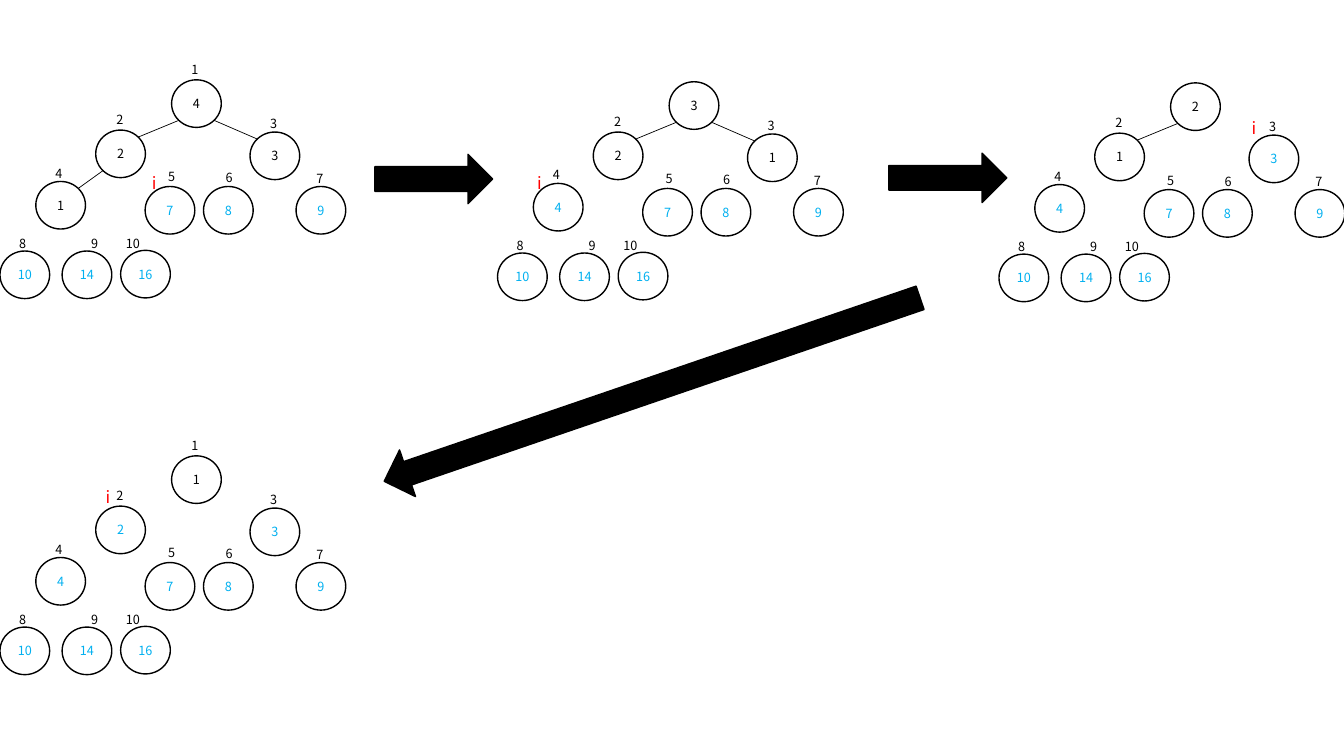
from lxml import etree
from pptx import Presentation
from pptx.dml.color import RGBColor
from pptx.enum.shapes import MSO_CONNECTOR, MSO_SHAPE
from pptx.enum.text import MSO_ANCHOR, MSO_AUTO_SIZE, PP_ALIGN
from pptx.oxml.ns import qn
from pptx.util import Pt

OVAL = MSO_SHAPE.OVAL
RIGHT_ARROW = MSO_SHAPE.RIGHT_ARROW
STRAIGHT = MSO_CONNECTOR.STRAIGHT
MIDDLE = MSO_ANCHOR.MIDDLE
CENTER = PP_ALIGN.CENTER
LEFT = PP_ALIGN.LEFT
GROW = MSO_AUTO_SIZE.SHAPE_TO_FIT_TEXT

# Content: one heap per sorting step; values past the heap size are sorted
HEAPS = [
    {"origin": (0, 0), "values": [4, 2, 3, 1, 7, 8, 9, 10, 14, 16],
     "size": 4, "root_label": True, "pointer": (101.5, 119.5)},
    {"origin": (355.4, 1.4), "values": [3, 2, 1, 4, 7, 8, 9, 10, 14, 16],
     "size": 3, "root_label": False, "pointer": (376.6, 120.2)},
    {"origin": (713.6, 2.2), "values": [2, 1, 3, 4, 7, 8, 9, 10, 14, 16],
     "size": 2, "root_label": False, "pointer": (887, 80.6)},
    {"origin": (0, 268.6), "values": [1, 2, 3, 4, 7, 8, 9, 10, 14, 16],
     "size": 1, "root_label": True, "pointer": (68.4, 344.2)},
]

# Places inside a heap, by index 1 to 10
NODE_PLACES = [(122.6, 57), (68.4, 92.9), (178.6, 94.3), (25.6, 129.6),
               (103.7, 133.2), (145.4, 133.2), (211.5, 133.2),
               (0, 179.3), (44.4, 179.3), (86.2, 178.8)]
LABEL_PLACES = [(129.6, 40.5), (76.1, 76.3), (185.8, 79.2), (32.4, 114.6),
                (113, 117.4), (154.1, 118.1), (218.9, 118.8),
                (6.5, 165), (58, 165), (82.8, 165)]

# Step arrows: left, top, width, rotation
STEP_ARROWS = [(267.8, 110.2, 84.2, 0), (635, 109.4, 84.2, 0),
               (263.5, 260.6, 404.6, 161.1)]

COLORS = {"ink": "000000", "paper": "FFFFFF", "sorted": "00B0F0", "pointer": "FF0000"}
FONT = "Noto Sans CJK KR"
NODE_WIDTH, NODE_HEIGHT = 35.5, 34
ARROW_HEIGHT = 35.3
NEAR, FAR = 0.15, 0.85  # diagonal points on a circle, as parts of its box


def color(name):
    return RGBColor.from_string(COLORS[name])


def write(shape, text, size, color_name, align):
    para = shape.text_frame.paragraphs[0]
    para.text = str(text)
    para.alignment = align
    font = para.runs[0].font
    font.name, font.size = FONT, Pt(size)
    font.color.rgb = color(color_name)


def add_solid(kind, left, top, width, height, fill):
    shape = slide.shapes.add_shape(kind, Pt(left), Pt(top), Pt(width), Pt(height))
    shape.shadow.inherit = False
    shape.fill.solid()
    shape.fill.fore_color.rgb = color(fill)
    shape.line.color.rgb = color("ink")
    shape.line.width = Pt(1)
    return shape


def add_node(left, top, value, color_name):
    node = add_solid(OVAL, left, top, NODE_WIDTH, NODE_HEIGHT, "paper")
    frame = node.text_frame
    frame.margin_left = frame.margin_right = 0
    frame.vertical_anchor = MIDDLE
    write(node, value, 9, color_name, CENTER)


def add_label(left, top, width, height, text, size, color_name):
    box = slide.shapes.add_textbox(Pt(left), Pt(top), Pt(width), Pt(height))
    frame = box.text_frame
    frame.word_wrap = True
    frame.auto_size = GROW
    frame.margin_right = 0
    write(box, text, size, color_name, LEFT)


def add_edge(parent, child):
    """Join the facing diagonal points of two nodes."""
    start, end = (FAR, NEAR) if child[0] > parent[0] else (NEAR, FAR)
    edge = slide.shapes.add_connector(
        STRAIGHT,
        Pt(parent[0] + start * NODE_WIDTH), Pt(parent[1] + FAR * NODE_HEIGHT),
        Pt(child[0] + end * NODE_WIDTH), Pt(child[1] + NEAR * NODE_HEIGHT))
    edge.line.color.rgb = color("ink")
    edge.line.width = Pt(0.5)
    etree.SubElement(edge._element.spPr, qn("a:effectLst"))


def add_heap(heap):
    left, top = heap["origin"]
    places = [(left + x, top + y) for x, y in NODE_PLACES]
    for index, (place, value) in enumerate(zip(places, heap["values"]), 1):
        add_node(*place, value, "ink" if index <= heap["size"] else "sorted")
    for index in range(2, heap["size"] + 1):
        add_edge(places[index // 2 - 1], places[index - 1])
    for index, (x, y) in enumerate(LABEL_PLACES, 1):
        if index > 1 or heap["root_label"]:
            add_label(left + x, top + y, 25.2, 18, index, 9, "ink")
    add_label(*heap["pointer"], 14.4, 21.6, "i", 12, "pointer")


deck = Presentation()
deck.slide_width, deck.slide_height = Pt(960), Pt(540)
slide = deck.slides.add_slide(deck.slide_layouts[6])

# Heaps
for heap in HEAPS:
    add_heap(heap)

# Arrows between the steps
for left, top, width, rotation in STEP_ARROWS:
    arrow = add_solid(RIGHT_ARROW, left, top, width, ARROW_HEIGHT, "ink")
    arrow.rotation = rotation

deck.save("out.pptx")
